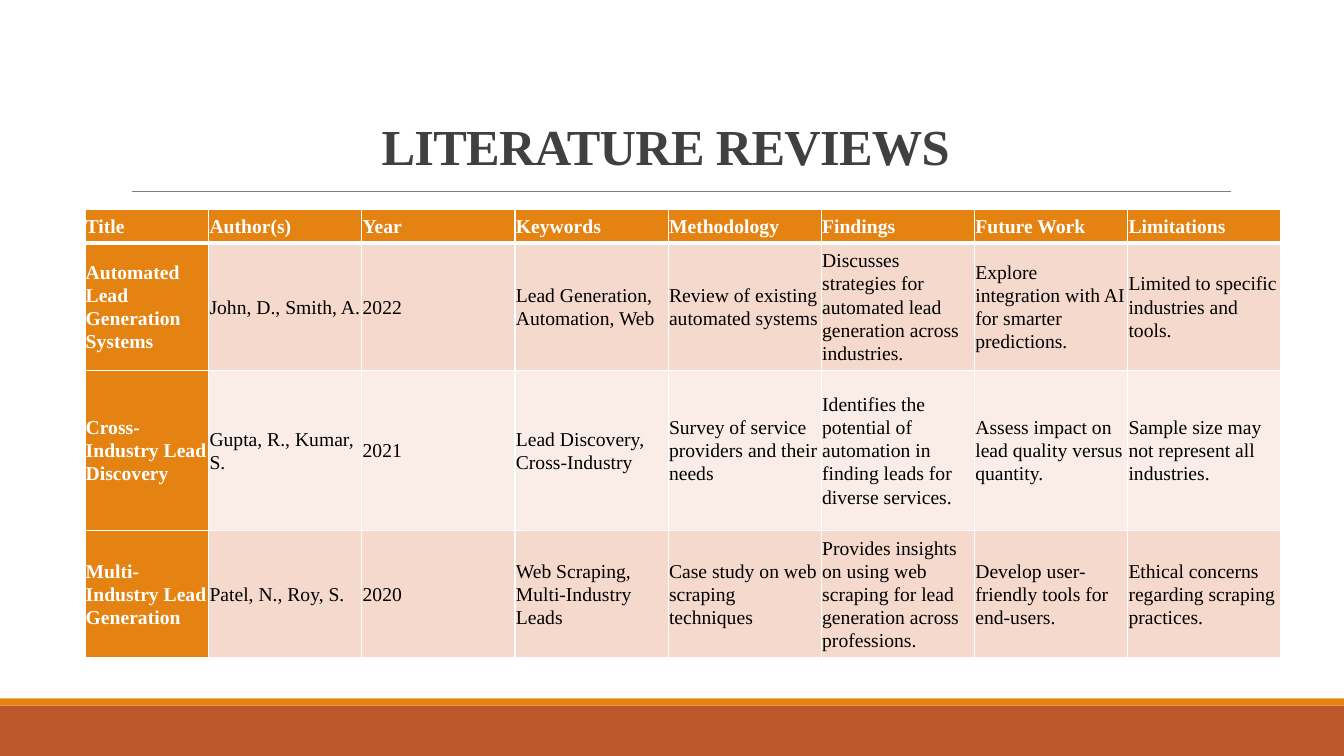
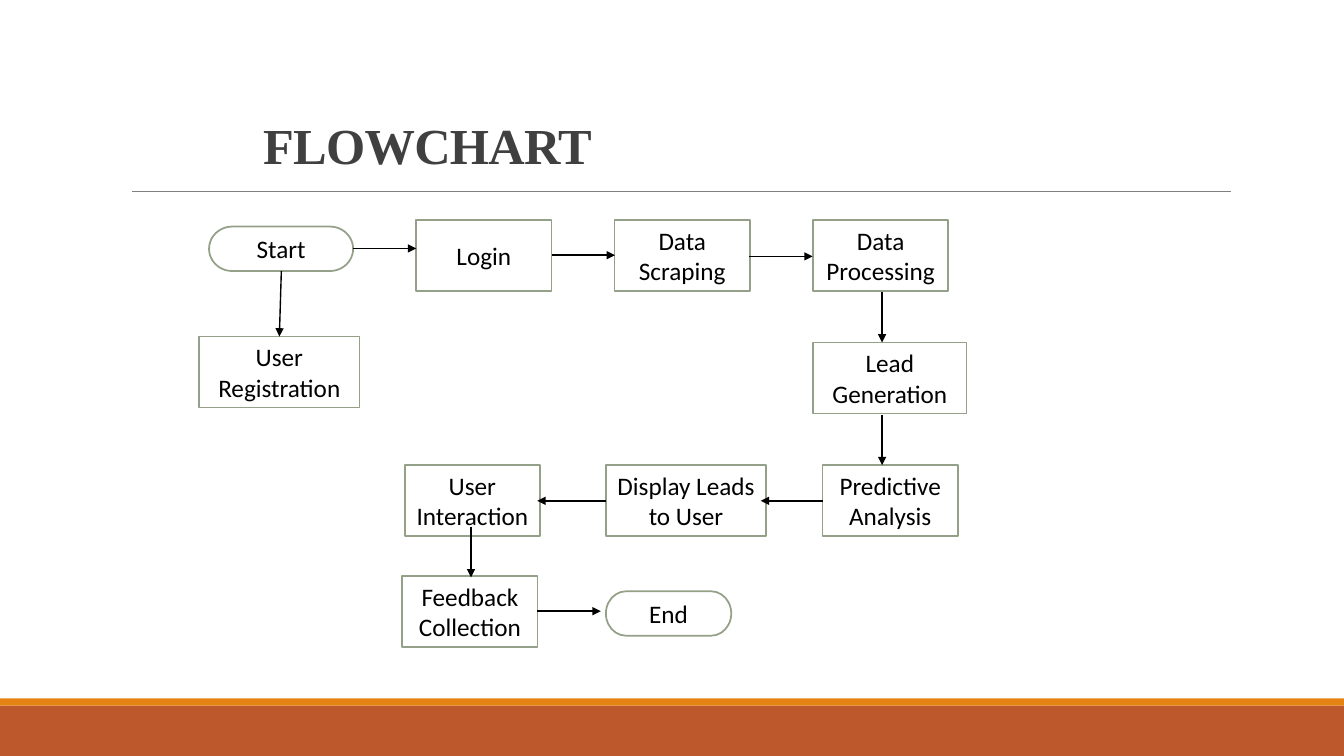
from lxml import etree
from pptx import Presentation
from pptx.dml.color import RGBColor
from pptx.enum.shapes import MSO_CONNECTOR, MSO_SHAPE
from pptx.enum.text import MSO_ANCHOR, PP_ALIGN
from pptx.oxml.ns import qn
from pptx.util import Cm, Pt

STRAIGHT = MSO_CONNECTOR.STRAIGHT
RECTANGLE = MSO_SHAPE.RECTANGLE
TERMINATOR = MSO_SHAPE.FLOWCHART_TERMINATOR
MIDDLE, BOTTOM = MSO_ANCHOR.MIDDLE, MSO_ANCHOR.BOTTOM
CENTER, LEFT, RIGHT = PP_ALIGN.CENTER, PP_ALIGN.LEFT, PP_ALIGN.RIGHT

SLIDE_WIDTH, SLIDE_HEIGHT = 33.87, 19.05
SERIF, SANS = "Times New Roman", "Calibri"
WHITE, BLACK = "FFFFFF", "000000"
ORANGE, RUST = "E48312", "BD582C"
GRAY, DARK_GRAY, SAGE = "808080", "404040", "94A088"
ROW_TINTS = ("F5D9CC", "FAEDE7")

REVIEWS = [
    ["Title", "Author(s)", "Year", "Keywords", "Methodology", "Findings",
     "Future Work", "Limitations"],
    ["Automated Lead Generation Systems", "John, D., Smith, A.", "2022",
     "Lead Generation, Automation, Web",
     "Review of existing automated systems",
     "Discusses strategies for automated lead generation across industries.",
     "Explore integration with AI for smarter predictions.",
     "Limited to specific industries and tools."],
    ["Cross-Industry Lead Discovery", "Gupta, R., Kumar, S.", "2021",
     "Lead Discovery, Cross-Industry",
     "Survey of service providers and their needs",
     "Identifies the potential of automation in finding leads for diverse services.",
     "Assess impact on lead quality versus quantity.",
     "Sample size may not represent all industries."],
    ["Multi-Industry Lead Generation", "Patel, N., Roy, S.", "2020",
     "Web Scraping, Multi-Industry Leads",
     "Case study on web scraping techniques",
     "Provides insights on using web scraping for lead generation across professions.",
     "Develop user-friendly tools for end-users.",
     "Ethical concerns regarding scraping practices."],
]
COLUMN_WIDTHS = [3.12] + [3.86] * 7
ROW_HEIGHTS = [0.84, 3.22, 4.02, 3.22]

STEP_WIDTH, WIDE_STEP_WIDTH = 3.41, 4.04
STEP_HEIGHT, TERMINATOR_HEIGHT = 1.79, 1.12
TOP_ROW, LEAD_ROW, USER_ROW, FEEDBACK_ROW = 5.54, 8.63, 11.72, 14.51

# Text, left, top, width
STEPS = [
    ("Login", 10.49, TOP_ROW, STEP_WIDTH),
    ("Data Scraping", 15.49, TOP_ROW, STEP_WIDTH),
    ("Data Processing", 20.49, TOP_ROW, STEP_WIDTH),
    ("User Registration", 5.02, 8.48, WIDE_STEP_WIDTH),
    ("Lead Generation", 20.49, LEAD_ROW, 3.87),
    ("Predictive Analysis", 20.73, USER_ROW, STEP_WIDTH),
    ("Display Leads to User", 15.27, USER_ROW, WIDE_STEP_WIDTH),
    ("User Interaction", 10.2, USER_ROW, STEP_WIDTH),
    ("Feedback Collection", 10.14, FEEDBACK_ROW, STEP_WIDTH),
]
TERMINATORS = [("Start", 5.27, 5.71, 3.63), ("End", 15.27, 14.9, 3.16)]

# Start and end points
ARROWS = [
    ((7.09, 6.83), (7.04, 8.48)),
    ((8.9, 6.26), (10.49, 6.26)),
    ((13.9, 6.43), (15.5, 6.43)),
    ((18.88, 6.46), (20.48, 6.46)),
    ((22.23, 7.36), (22.23, LEAD_ROW)),
    ((22.23, 10.46), (22.23, USER_ROW)),
    ((20.73, 12.62), (19.17, 12.62)),
    ((15.27, 12.62), (13.54, 12.62)),
    ((11.87, 13.28), (11.87, 14.55)),
    ((13.54, 15.4), (15.14, 15.4)),
]


def color(hex_string):
    return RGBColor.from_string(hex_string)


def centimeters(*values):
    return [Cm(value) for value in values]


def set_fill(item, hex_string):
    item.fill.solid()
    item.fill.fore_color.rgb = color(hex_string)


def set_cell_border(cell, edge, width):
    properties = cell._tc.get_or_add_tcPr()
    border = etree.SubElement(properties, qn(f"a:ln{edge}"), w=str(Pt(width)))
    fill = etree.SubElement(border, qn("a:solidFill"))
    etree.SubElement(fill, qn("a:srgbClr"), val=WHITE)


class Deck:
    """Holds the shared style and the slide being built."""

    def __init__(self):
        self.presentation = Presentation()
        self.presentation.slide_width = Cm(SLIDE_WIDTH)
        self.presentation.slide_height = Cm(SLIDE_HEIGHT)
        self.slide = None

    def add_page(self, title, left, top, width, height):
        layout = self.presentation.slide_layouts[6]
        self.slide = self.presentation.slides.add_slide(layout)
        self.shape(RECTANGLE, 0, 17.78, SLIDE_WIDTH, 1.27, RUST)
        self.shape(RECTANGLE, 0, 17.6, SLIDE_WIDTH, 0.18, ORANGE)
        self.line((3.33, 4.82), (31.01, 4.82), GRAY, 0.5)
        self.title(title, left, top, width, height)

    def set_text(self, frame, text, font, size, hex_string, bold=False, align=LEFT):
        frame.word_wrap = True
        para = frame.paragraphs[0]
        para.alignment = align
        para.add_run().text = text
        para.font.name = font
        para.font.size = Pt(size)
        para.font.bold = bold
        para.font.color.rgb = color(hex_string)
        return para

    def title(self, text, left, top, width, height):
        box = self.slide.shapes.add_textbox(*centimeters(left, top, width, height))
        frame = box.text_frame
        frame.vertical_anchor = BOTTOM
        para = self.set_text(frame, text, SERIF, 36, DARK_GRAY, True, RIGHT)
        para.line_spacing = 0.85
        para.runs[0]._r.get_or_add_rPr().set("spc", "-50")

    def shape(self, kind, left, top, width, height, fill):
        shape = self.slide.shapes.add_shape(
            kind, *centimeters(left, top, width, height))
        shape.shadow.inherit = False
        set_fill(shape, fill)
        shape.line.fill.background()
        return shape

    def step(self, kind, text, left, top, width, height):
        box = self.shape(kind, left, top, width, height, WHITE)
        box.line.color.rgb = color(SAGE)
        box.line.width = Pt(1.25)
        box.text_frame.vertical_anchor = MIDDLE
        self.set_text(box.text_frame, text, SANS, 18, BLACK, align=CENTER)

    def line(self, start, end, hex_string, width):
        line = self.slide.shapes.add_connector(
            STRAIGHT, *centimeters(*start, *end))
        line.line.color.rgb = color(hex_string)
        line.line.width = Pt(width)
        etree.SubElement(line._element.spPr, qn("a:effectLst"))
        return line

    def arrow(self, start, end):
        arrow = self.line(start, end, BLACK, 1)
        outline = arrow._element.spPr.find(qn("a:ln"))
        etree.SubElement(outline, qn("a:tailEnd"), type="triangle")

    def table(self, rows, left, top, widths, heights):
        size = centimeters(left, top, sum(widths), sum(heights))
        frame = self.slide.shapes.add_table(len(rows), len(widths), *size)
        table = frame.table
        table.first_row = table.horz_banding = False
        for column, width in zip(table.columns, widths):
            column.width = Cm(width)
        for row, height in zip(table.rows, heights):
            row.height = Cm(height)
        for row_index, texts in enumerate(rows):
            for column_index, text in enumerate(texts):
                self.cell(table.cell(row_index, column_index), text,
                          row_index, column_index)

    def cell(self, cell, text, row_index, column_index):
        is_heading = row_index == 0 or column_index == 0
        cell.margin_left = cell.margin_right = Cm(0.02)
        cell.margin_top = cell.margin_bottom = Cm(0.02)
        cell.vertical_anchor = MIDDLE
        para = self.set_text(cell.text_frame, text, SERIF, 14,
                             WHITE if is_heading else BLACK, is_heading)
        para.line_spacing = 1.07
        para.space_after = Pt(8)
        heavy_edge = {0: "B", 1: "T"}.get(row_index)
        for edge in "LRTB":
            set_cell_border(cell, edge, 3 if edge == heavy_edge else 1)
        set_fill(cell, ORANGE if is_heading else ROW_TINTS[(row_index - 1) % 2])


def add_reviews(deck):
    deck.add_page("LITERATURE REVIEWS", 3.28, 2.26, 20.9, 2.29)
    deck.table(REVIEWS, 2.14, 5.28, COLUMN_WIDTHS, ROW_HEIGHTS)


def add_flowchart(deck):
    deck.add_page("FLOWCHART", 1.75, 1.6, 13.41, 2.92)
    for step in STEPS:
        deck.step(RECTANGLE, *step, STEP_HEIGHT)
    for terminator in TERMINATORS:
        deck.step(TERMINATOR, *terminator, TERMINATOR_HEIGHT)
    for start, end in ARROWS:
        deck.arrow(start, end)


def main():
    deck = Deck()
    add_reviews(deck)
    add_flowchart(deck)
    deck.presentation.save("out.pptx")


if __name__ == "__main__":
    main()
